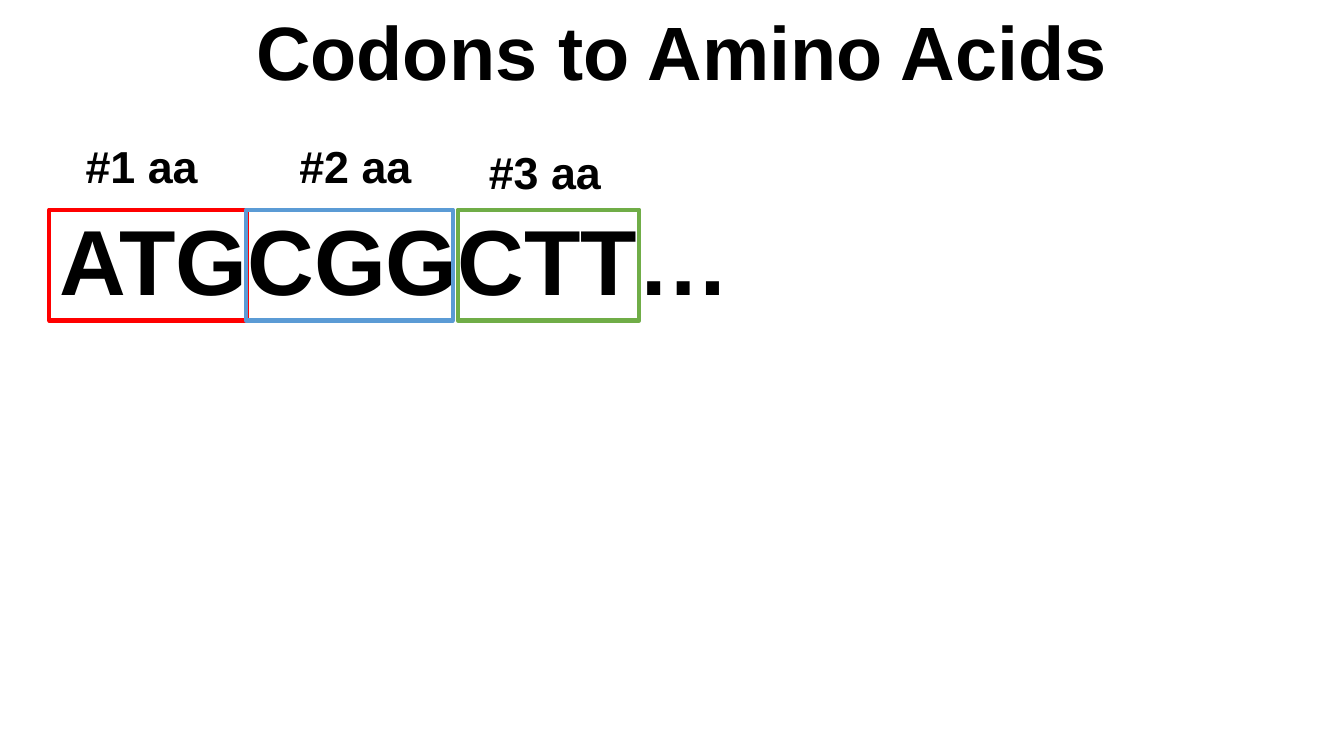
from pptx import Presentation
from pptx.dml.color import RGBColor
from pptx.enum.shapes import MSO_SHAPE as Preset
from pptx.enum.text import MSO_ANCHOR as Anchor, MSO_AUTO_SIZE as AutoSize, PP_ALIGN as Align
from pptx.util import Inches, Pt

BLACK = RGBColor(0x00, 0x00, 0x00)
RED = RGBColor(0xFF, 0x00, 0x00)
GREEN = RGBColor(0x70, 0xAD, 0x47)
BLUE = RGBColor(0x5B, 0x9B, 0xD5)

FONT = {"name": "Arial", "bold": True}
LABEL_SIZE = (1.43, 0.64)
FRAME_TOP, FRAME_HEIGHT = 2.08, 1.1

# Label, frame left, frame width, frame colour, label left, label top
CODONS = [
    ("#1 aa", 0.49, 1.96, RED, 0.75, 1.33),
    ("#3 aa", 4.54, 1.8, GREEN, 4.75, 1.39),
    ("#2 aa", 2.44, 2.05, BLUE, 2.87, 1.33),
]


def write_text(shape, text, size, wrap=True):
    frame = shape.text_frame
    frame_format = {
        "word_wrap": wrap,
        "auto_size": AutoSize.SHAPE_TO_FIT_TEXT,
        "vertical_anchor": Anchor.TOP,
    }
    for name, value in frame_format.items():
        setattr(frame, name, value)
    paragraph = frame.paragraphs[0]
    paragraph.alignment = Align.LEFT
    run = paragraph.add_run()
    run.text = text
    for name, value in {**FONT, "size": Pt(size)}.items():
        setattr(run.font, name, value)
    run.font.color.rgb = BLACK


def place_title(slide, left, top, width, height):
    title = slide.shapes.title
    box = {"left": left, "top": top, "width": width, "height": height}
    for name, value in box.items():
        setattr(title, name, Inches(value))
    write_text(title, "Codons to Amino Acids", 54, wrap=False)


def add_text(shapes, text, size, *box):
    write_text(shapes.add_textbox(*map(Inches, box)), text, size)


def add_codon(slide, label, left, width, color, label_left, label_top):
    group = slide.shapes.add_group_shape()
    box = (left, FRAME_TOP, width, FRAME_HEIGHT)
    frame = group.shapes.add_shape(Preset.RECTANGLE, *map(Inches, box))
    frame.shadow.inherit = False
    frame.fill.background()
    frame.line.color.rgb = color
    frame.line.width = Pt(3)
    add_text(group.shapes, label, 32, label_left, label_top, *LABEL_SIZE)


def main():
    presentation = Presentation()
    presentation.slide_width = Inches(13.33)
    presentation.slide_height = Inches(7.5)
    slide = presentation.slides.add_slide(presentation.slide_layouts.get_by_name("Title Only"))

    # Title
    place_title(slide, 2.44, 0, 8.73, 1.01)

    # Base sequence
    add_text(slide.shapes, "ATGCGGCTT…", 66, 0.49, 1.97, 7.03, 1.21)

    # Framed codons with their amino acid numbers
    for codon in CODONS:
        add_codon(slide, *codon)

    presentation.save("out.pptx")


if __name__ == "__main__":
    main()
